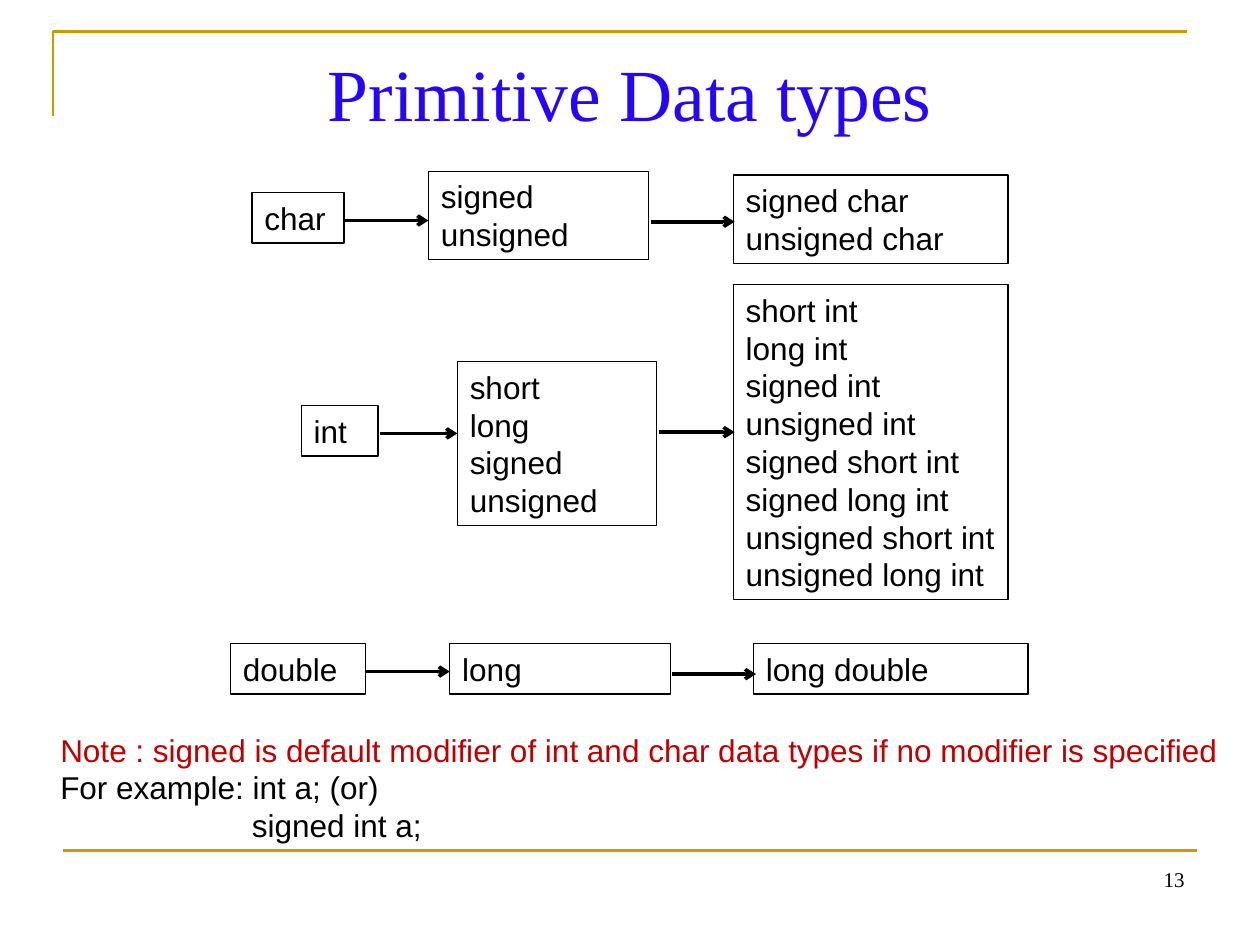
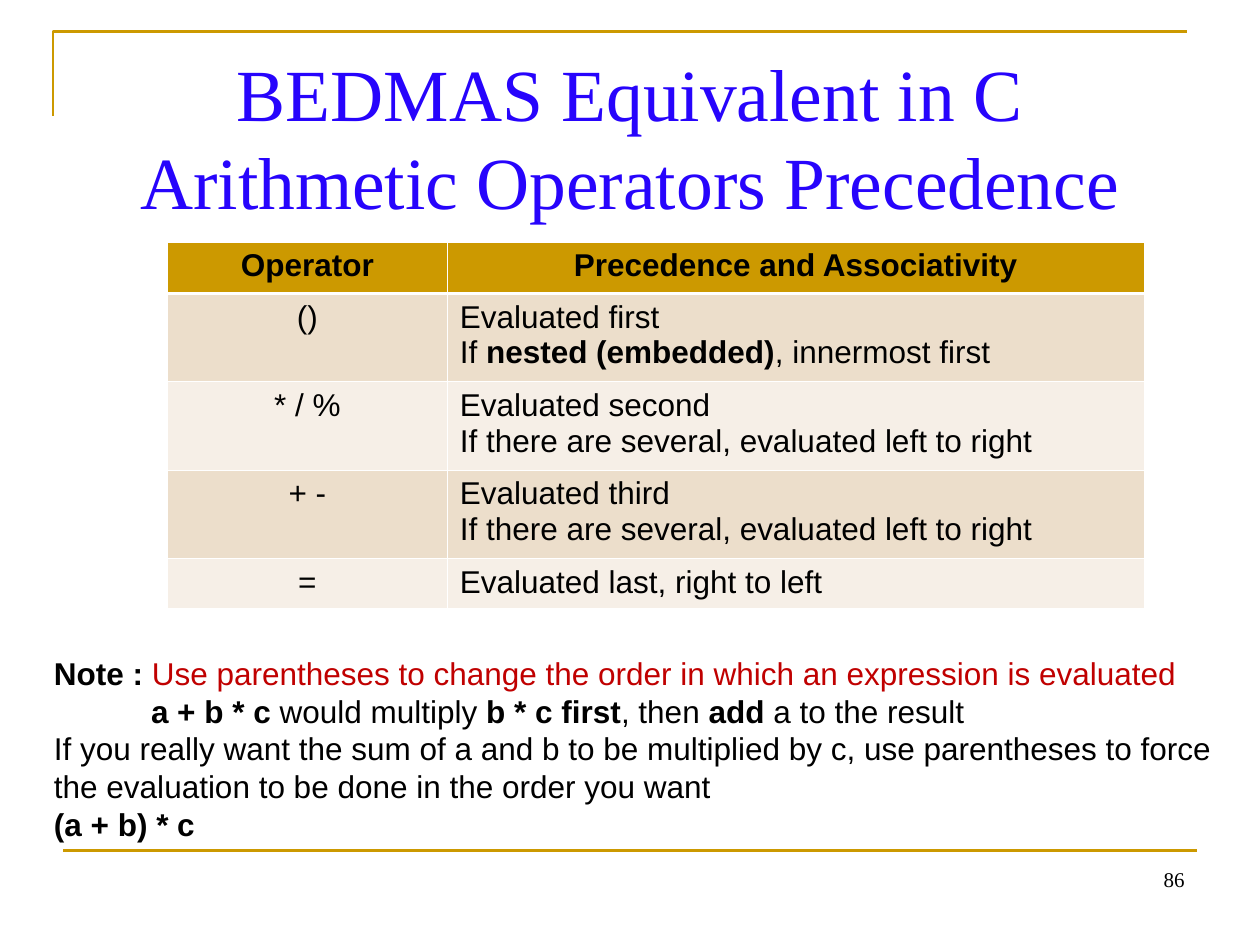
from lxml.etree import SubElement
from pptx import Presentation
from pptx.dml.color import RGBColor
from pptx.enum.shapes import MSO_CONNECTOR, MSO_SHAPE
from pptx.enum.text import PP_ALIGN
from pptx.oxml.ns import qn
from pptx.util import Emu, Pt

SCALE = 9144
COLORS = {
    "gold": "CC9900",
    "title": "2704FC",
    "ink": "000000",
    "note": "C00000",
    "white": "FFFFFF",
    "band": "ECDECB",
    "pale": "F6EFE7",
}
BOLD = {"bold": True}


def px(length):
    return Emu(length * SCALE)


def rgb(name):
    return RGBColor.from_string(COLORS[name])


def write(frame, lines, size=18, font="Arial", color="ink", bold=False,
          align=PP_ALIGN.LEFT, leading=1.2, indents=None):
    frame.word_wrap = True
    for index, line in enumerate(lines):
        paragraph = frame.paragraphs[0] if index == 0 else frame.add_paragraph()
        paragraph.alignment = align
        paragraph.line_spacing = Pt(round(size * leading, 1))
        if indents and index in indents:
            paragraph._p.get_or_add_pPr().set("marL", str(px(indents[index])))
        for words, changes in [(line, {})] if isinstance(line, str) else line:
            run = paragraph.add_run()
            run.text = words
            run.font.size = Pt(size)
            run.font.name = font
            run.font.bold = changes.get("bold", bold)
            run.font.color.rgb = rgb(changes.get("color", color))


class Deck:
    def __init__(self):
        self.presentation = Presentation()
        self.presentation.slide_width = px(1000)
        self.presentation.slide_height = px(750)
        self.slide = None

    def start(self, title, number):
        self.slide = self.presentation.slides.add_slide(self.presentation.slide_layouts[6])
        outline = self.slide.shapes.build_freeform(42, 92, scale=SCALE)
        outline.add_line_segments([(42, 25), (942, 25)], close=False)
        corner = outline.convert_to_shape()
        corner.shadow.inherit = False
        corner.fill.background()
        corner.line.color.rgb = rgb("gold")
        corner.line.width = Pt(1.5)
        self.line(50, 675, 950, 675, color="gold", width=1.5)
        self.text(50, 30, 900, 125, title, inset=8, size=42,
                  font="Times New Roman", color="title", align=PP_ALIGN.CENTER)
        self.text(717, 683, 233, 52, [str(number)], size=12,
                  font="Times New Roman", align=PP_ALIGN.RIGHT)

    def text(self, left, top, width, height, lines, inset=5, **style):
        area = self.slide.shapes.add_textbox(px(left), px(top), px(width), px(height))
        area.text_frame.margin_top = px(inset)
        write(area.text_frame, lines, **style)

    def box(self, left, top, width, height, lines):
        frame = self.slide.shapes.add_textbox(px(left), px(top), px(width), px(height))
        frame.line.color.rgb = rgb("ink")
        frame.line.width = Pt(0.75)
        write(frame.text_frame, lines)

    def line(self, x1, y1, x2, y2, color="ink", width=2, arrow=False):
        rule = self.slide.shapes.add_connector(
            MSO_CONNECTOR.STRAIGHT, px(x1), px(y1), px(x2), px(y2))
        rule.line.color.rgb = rgb(color)
        rule.line.width = Pt(width)
        if arrow:
            SubElement(rule.line._get_or_add_ln(), qn("a:tailEnd"), type="arrow")
        SubElement(rule._element.spPr, qn("a:effectLst"))

    def border(self, cell, side, width):
        edge = SubElement(cell._tc.get_or_add_tcPr(), qn(f"a:ln{side}"), w=str(Pt(width)))
        fill = SubElement(edge, qn("a:solidFill"))
        SubElement(fill, qn("a:srgbClr"), val=COLORS["white"])

    def table(self, left, top, widths, heights, rows):
        grid = self.slide.shapes.add_table(
            len(rows), len(widths), px(left), px(top), px(sum(widths)), px(sum(heights))).table
        for column, width in zip(grid.columns, widths):
            column.width = px(width)
        for r, (height, row) in enumerate(zip(heights, rows)):
            grid.rows[r].height = px(height)
            for c, lines in enumerate(row):
                cell = grid.cell(r, c)
                for side in "LRTB":
                    heavy = (r, side) in [(0, "B"), (1, "T")]
                    self.border(cell, side, 1.47 if heavy else 0.45)
                cell.fill.solid()
                cell.fill.fore_color.rgb = rgb("gold" if r == 0 else "band" if r % 2 else "pale")
                centered = r == 0 or c == 0
                write(cell.text_frame, lines, bold=r == 0, leading=1.12,
                      align=PP_ALIGN.CENTER if centered else PP_ALIGN.LEFT)


def primitive_types(deck):
    deck.start(["Primitive Data types"], 13)
    boxes = [
        (200, 153, 73, 40, ["char"]),
        (340, 136, 175, 70, ["signed", "unsigned"]),
        (582, 139, 218, 70, ["signed char", "unsigned char"]),
        (239, 322, 61, 40, ["int"]),
        (363, 287, 158, 130, ["short", "long", "signed", "unsigned"]),
        (582, 226, 218, 250, ["short int", "long int", "signed int", "unsigned int",
                              "signed short int", "signed long int",
                              "unsigned short int", "unsigned long int"]),
        (183, 511, 107, 40, ["double"]),
        (357, 511, 175, 40, ["long"]),
        (598, 511, 218, 40, ["long double"]),
    ]
    for box in boxes:
        deck.box(*box)
    arrows = [(273, 340, 175), (517, 583, 176), (302, 363, 344),
              (523, 583, 343), (290, 357, 533), (533, 600, 535)]
    for start, end, y in arrows:
        deck.line(start, y, end, y, arrow=True)
    note = "Note : signed is default modifier of int and char data types if no modifier is specified"
    deck.text(38, 575, 958, 100, [
        [(note, {"color": "note"})],
        "For example: int a; (or)",
        "signed int a;",
    ], indents={2: 152})


def operator_precedence(deck):
    deck.start(["BEDMAS Equivalent in C", "Arithmetic Operators Precedence"], 86)
    several = "If there are several, evaluated left to right"
    nested = [("If ", {}), ("nested (embedded)", BOLD), (", innermost first", {})]
    deck.table(133, 192, [222, 553], [41, 70, 70, 70, 40], [
        [["Operator"], ["Precedence and Associativity"]],
        [["()"], ["Evaluated first", nested]],
        [["* / %"], ["Evaluated second", several]],
        [["+ -"], ["Evaluated third", several]],
        [["="], ["Evaluated last, right to left"]],
    ])
    deck.text(33, 514, 942, 160, [
        [("Note : ", BOLD),
         ("Use parentheses to change the order in which an expression is evaluated",
          {"color": "note"})],
        [("a + b * c ", BOLD), ("would multiply ", {}), ("b * c first", BOLD),
         (", then ", {}), ("add", BOLD), (" a to the result", {})],
        "If you really want the sum of a and b to be multiplied by c, use parentheses "
        "to force the evaluation to be done in the order you want",
        [("(a + b) * c", BOLD)],
    ], indents={1: 77})


def main():
    deck = Deck()
    primitive_types(deck)
    operator_precedence(deck)
    deck.presentation.save("out.pptx")


if __name__ == "__main__":
    main()
